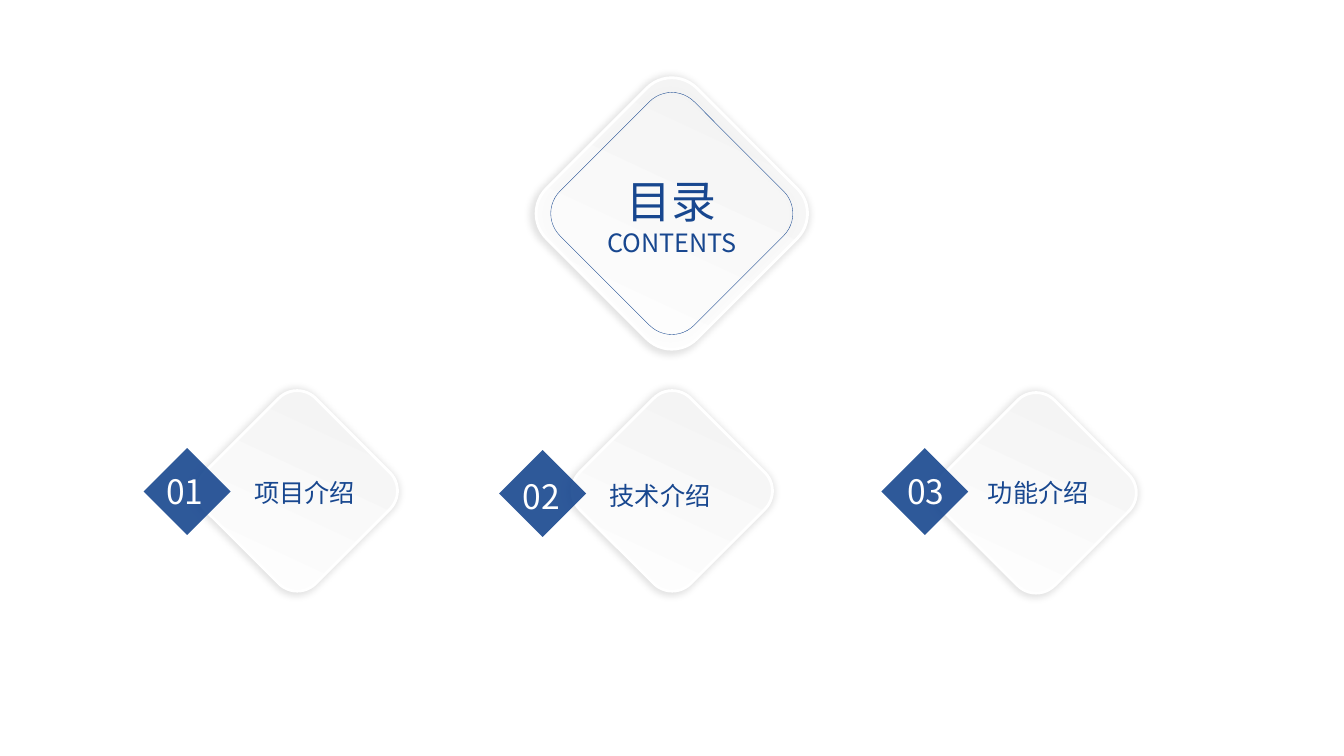
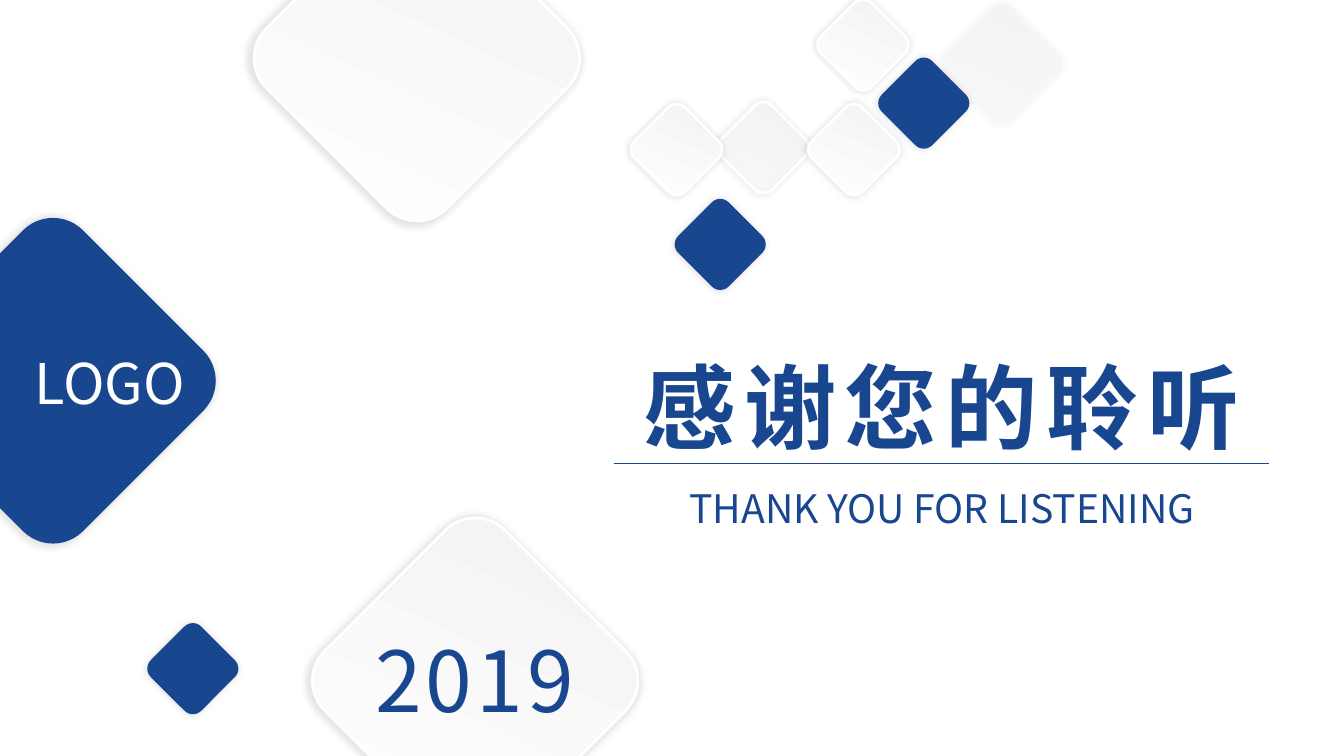
from dataclasses import dataclass

from lxml import etree
from pptx import Presentation
from pptx.dml.color import RGBColor
from pptx.enum.shapes import MSO_CONNECTOR, MSO_SHAPE
from pptx.enum.text import MSO_AUTO_SIZE, PP_ALIGN
from pptx.oxml.ns import qn
from pptx.util import Cm, Pt


@dataclass(frozen=True)
class Theme:
    font: str = "Noto Sans CJK SC"
    blue: RGBColor = RGBColor(0x18, 0x47, 0x8F)
    white: RGBColor = RGBColor(0xFF, 0xFF, 0xFF)
    grey: RGBColor = RGBColor(0xF2, 0xF2, 0xF2)
    label: int = 18
    number: int = 24
    subtitle: int = 28
    heading: int = 32
    logo: int = 40
    year: int = 60
    closing: int = 66


@dataclass(frozen=True)
class Entry:
    number: str
    label: str
    badge_at: tuple
    tile_at: tuple
    label_at: tuple
    number_at: tuple


THEME = Theme()
SMALL, LARGE = 1.8, 6.43  # tile sides on the closing slide


# Shared parts
def add_alpha(colour, percent):
    etree.SubElement(colour, qn("a:alpha"), val=str(percent * 1000))


def add_glow(shape):
    """Soft shadow spread evenly around the shape."""
    effects = shape.element.spPr.find(qn("a:effectLst"))
    shadow = etree.SubElement(effects, qn("a:outerShdw"), blurRad=str(Pt(5)),
                              sx="102000", sy="102000", algn="ctr", rotWithShape="0")
    add_alpha(etree.SubElement(shadow, qn("a:srgbClr"), val="000000"), 11)


def add_diamond(slide, left, top, side, preset=MSO_SHAPE.ROUNDED_RECTANGLE, rotation=45):
    shape = slide.shapes.add_shape(preset, Cm(left), Cm(top), Cm(side), Cm(side))
    shape.rotation = rotation
    shape.shadow.inherit = False
    shape.fill.background()
    shape.line.fill.background()
    return shape


def set_line(shape, colour, width):
    shape.line.color.rgb = colour
    shape.line.width = Pt(width)


def add_pale_tile(slide, left, top, side, alphas=None, edge=True):
    tile = add_diamond(slide, left, top, side)
    tile.fill.gradient()
    tile.fill.gradient_angle = 110
    for stop, colour in zip(tile.fill.gradient_stops, (THEME.white, THEME.grey)):
        stop.color.rgb = colour
    if alphas:
        colours = tile.element.spPr.find(qn("a:gradFill")).iter(qn("a:srgbClr"))
        for colour, percent in zip(colours, alphas):
            add_alpha(colour, percent)
    if edge:
        set_line(tile, THEME.white, 2)
    add_glow(tile)


def add_blue_tile(slide, left, top, side):
    tile = add_diamond(slide, left, top, side)
    tile.fill.solid()
    tile.fill.fore_color.rgb = THEME.blue
    add_glow(tile)


def add_text(slide, text, box, size, colour=THEME.blue, align=PP_ALIGN.CENTER,
             wrap=True, bold=None, spacing=0):
    frame = slide.shapes.add_textbox(*map(Cm, box)).text_frame
    frame.word_wrap = wrap
    frame.auto_size = MSO_AUTO_SIZE.SHAPE_TO_FIT_TEXT
    paragraph = frame.paragraphs[0]
    paragraph.alignment = align
    run = paragraph.add_run()
    run.text = text
    run.font.size = Pt(size)
    run.font.bold = bold
    run.font.color.rgb = colour
    run.font.name = THEME.font
    properties = run.font._element
    etree.SubElement(properties, qn("a:ea"), typeface=THEME.font)
    if spacing:
        properties.set("spc", str(spacing * 100))


# Contents slide
def add_contents_heading(slide, left, top, side):
    inset = 0.29
    add_pale_tile(slide, left, top, side)
    ring = add_diamond(slide, left + inset, top + inset, side - 2 * inset)
    set_line(ring, THEME.blue, 0.25)
    add_glow(ring)
    text_left, width = left - 0.51, side + 1.02
    add_text(slide, "目录", (text_left, top + 1.55, width, 1.63), THEME.heading)
    add_text(slide, "CONTENTS", (text_left, top + 2.9, width, 1.02), THEME.label)


def add_entry(slide, entry):
    add_pale_tile(slide, *entry.tile_at, 3.96)
    badge = add_diamond(slide, *entry.badge_at, 1.55, MSO_SHAPE.RECTANGLE, 225)
    badge.fill.solid()
    badge.fill.fore_color.rgb = THEME.blue
    add_alpha(badge.element.spPr.find(qn("a:solidFill"))[0], 90)
    add_text(slide, entry.label, (*entry.label_at, 4.17, 1.02), THEME.label)
    add_text(slide, entry.number, (*entry.number_at, 1.52, 1.27), THEME.number,
             THEME.white, PP_ALIGN.LEFT, wrap=False)


def build_contents(slide):
    add_contents_heading(slide, 14.25, 2.7, 5.36)
    entries = (
        Entry("01", "项目介绍", (3.94, 11.61), (5.51, 10.39), (5.59, 11.91), (3.94, 11.73)),
        Entry("02", "技术介绍", (12.9, 11.66), (14.96, 10.39), (14.55, 11.99), (12.93, 11.86)),
        Entry("03", "功能介绍", (22.53, 11.61), (24.13, 10.44), (24.08, 11.91), (22.61, 11.73)),
    )
    for entry in entries:
        add_entry(slide, entry)


# Closing slide
def add_tile_pattern(slide):
    add_pale_tile(slide, 24.05, 0.41, 2.39, alphas=(40, 37), edge=False)
    add_pale_tile(slide, 18.34, 2.82, SMALL, alphas=(40, 37))
    for left, top, side in ((7.29, -1.75, LARGE), (16.15, 2.87, SMALL),
                            (20.85, 0.23, SMALL), (20.62, 2.87, SMALL)):
        add_pale_tile(slide, left, top, side)
    for left, top in ((17.25, 5.26), (22.38, 1.7), (3.96, 15.95)):
        add_blue_tile(slide, left, top, SMALL)


def add_logo_tile(slide, left, top):
    add_blue_tile(slide, left, top, LARGE)
    add_text(slide, "LOGO", (left + 2.01, top + 2.28, 5.26, 1.96), THEME.logo, THEME.white)


def add_year_tile(slide, left, top):
    add_pale_tile(slide, left, top, LARGE)
    add_text(slide, "2019", (left + 0.08, top + 1.78, 6.25, 2.82), THEME.year, spacing=3)


def add_thanks(slide, left, top, width):
    add_text(slide, "感谢您的聆听", (left, top, width, 3.07), THEME.closing,
             bold=True, spacing=6)
    rule_y = Cm(top + 2.99)
    rule = slide.shapes.add_connector(MSO_CONNECTOR.STRAIGHT, Cm(left + 1.83), rule_y,
                                      Cm(left + width - 1.85), rule_y)
    set_line(rule, THEME.blue, 0.5)
    etree.SubElement(rule.element.spPr, qn("a:effectLst"))
    add_text(slide, "THANK YOU FOR LISTENING",
             (left + 0.61, top + 3.4, width - 1.22, 1.45), THEME.subtitle)


def build_closing(slide):
    add_tile_pattern(slide)
    add_logo_tile(slide, -1.88, 6.38)
    add_year_tile(slide, 8.76, 13.94)
    add_thanks(slide, 13.64, 8.69, 20.19)


# Presentation
deck = Presentation()
deck.slide_width, deck.slide_height = Cm(33.87), Cm(19.05)
for build in (build_contents, build_closing):
    build(deck.slides.add_slide(deck.slide_layouts[6]))
deck.save("out.pptx")
